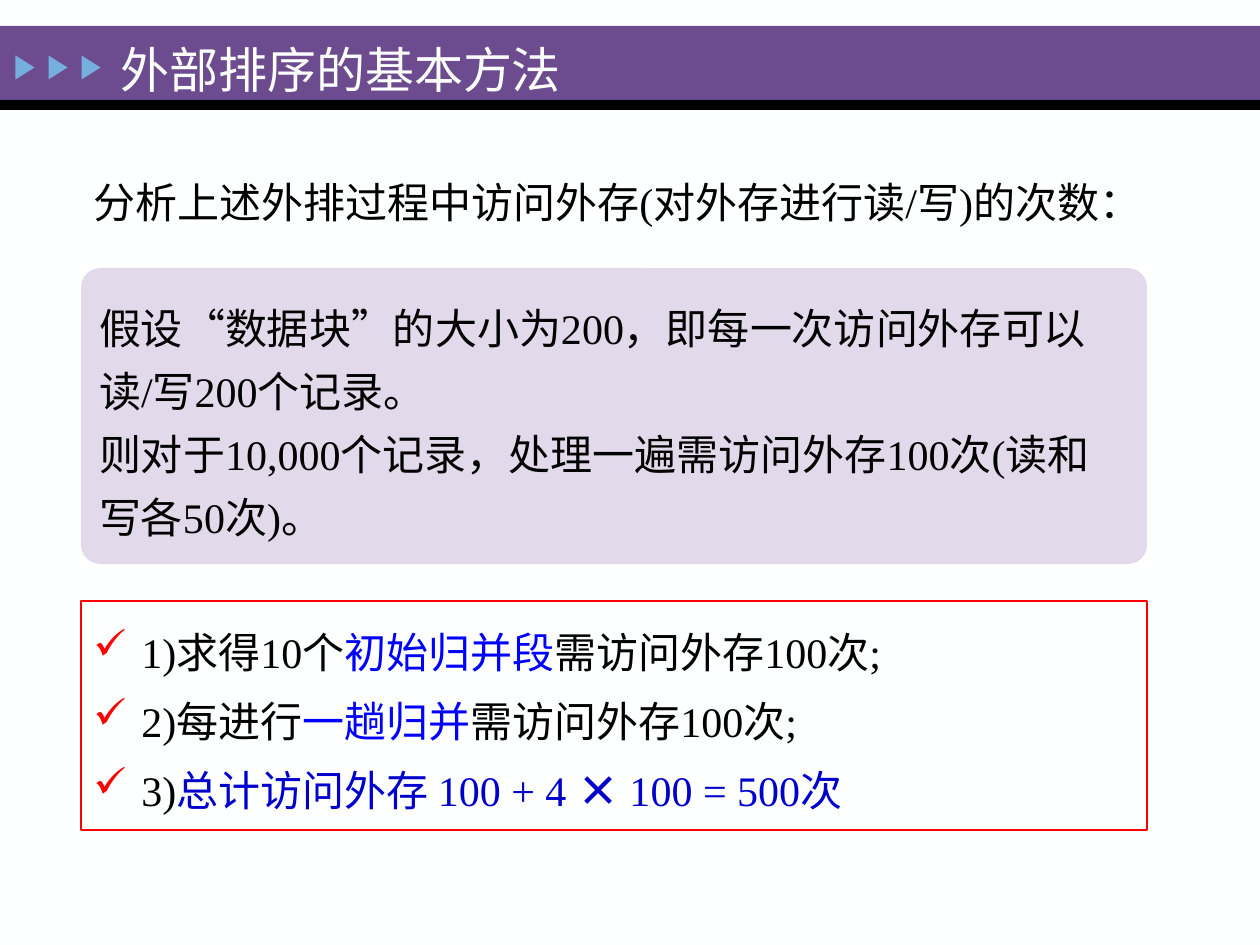
from pptx import Presentation
from pptx.dml.color import RGBColor
from pptx.enum.shapes import MSO_SHAPE as Shape
from pptx.enum.text import MSO_ANCHOR as Anchor, PP_ALIGN as Align
from pptx.oxml.ns import qn
from pptx.util import Emu, Pt
from lxml.etree import SubElement

PX = 914400 / 126
PURPLE = RGBColor(0x6C, 0x4C, 0x8F)
LILAC = RGBColor(0xE2, 0xD9, 0xEB)
SKY = RGBColor(0x76, 0xAE, 0xDD)
PAPER = RGBColor(0xFE, 0xFF, 0xFF)
BLACK = RGBColor(0, 0, 0)
RED = RGBColor(0xFF, 0, 0)
BLUE = RGBColor(0, 0, 0xFF)
NAVY = RGBColor(0, 0, 0xCC)
SERIF, SANS = "Times New Roman", "Noto Sans CJK SC"

# Content: each paragraph is a list of (text, format) runs
PLAIN = {"name": SERIF, "size": Pt(24), "color": BLACK}
TERM = PLAIN | {"color": BLUE}
TOTAL = PLAIN | {"color": NAVY}
TITLE = [[("外部排序的基本方法", PLAIN | {"size": Pt(28), "color": PAPER})]]
INTRO = [[("分析上述外排过程中访问外存(对外存进行读/写)的次数：", PLAIN)]]
ASSUMPTION = [
    [("假设“数据块”的大小为200，即每一次访问外存可以读/写200个记录。", PLAIN)],
    [("则对于10,000个记录，处理一遍需访问外存100次(读和写各50次)。", PLAIN)],
]
STEPS = [
    [("1)求得10个", PLAIN), ("初始归并段", TERM), ("需访问外存100次;", PLAIN)],
    [("2)每进行", PLAIN), ("一趟归并", TERM), ("需访问外存100次;", PLAIN)],
    [("3)", PLAIN), ("总计访问外存 100 + 4 ", TOTAL),
     ("×", TOTAL | {"name": SANS, "bold": True}), (" 100 = 500次", TOTAL)],
]


def px(*lengths):
    return [Emu(round(n * PX)) for n in lengths]


def add_block(slide, kind, box, fill=None, line=None):
    block = slide.shapes.add_shape(kind, *px(*box))
    block.shadow.inherit = False
    if fill is None:
        block.fill.background()
    else:
        block.fill.solid()
        block.fill.fore_color.rgb = fill
    if line is None:
        block.line.fill.background()
    else:
        block.line.color.rgb = line
        block.line.width = Pt(0.75)
    return block


def add_check(paragraph):
    props = paragraph._p.get_or_add_pPr()
    indent = px(48)[0]
    props.set("marL", str(indent))
    props.set("indent", str(-indent))
    colour = SubElement(props, qn("a:buClr"))
    SubElement(colour, qn("a:srgbClr"), val=str(RED))
    SubElement(props, qn("a:buChar"), char="✓")


def write(block, paragraphs, spacing, anchor=Anchor.TOP, checked=False):
    frame = block.text_frame
    frame.word_wrap = True
    frame.vertical_anchor = anchor
    for i, runs in enumerate(paragraphs):
        paragraph = frame.add_paragraph() if i else frame.paragraphs[0]
        paragraph.alignment = Align.LEFT
        paragraph.line_spacing = spacing
        if checked:
            paragraph.space_before = Pt(4.8 if i else 0)
            add_check(paragraph)
        for text, style in runs:
            run = paragraph.add_run()
            run.text = text
            for key, value in style.items():
                if key == "color":
                    run.font.color.rgb = value
                else:
                    setattr(run.font, key, value)


prs = Presentation()
prs.slide_width, prs.slide_height = px(1260, 945)
slide = prs.slides.add_slide(prs.slide_layouts[5])
slide.background.fill.solid()
slide.background.fill.fore_color.rgb = PAPER

# Header band with three arrowheads
add_block(slide, Shape.RECTANGLE, (0, 26, 1260, 75), PURPLE)
add_block(slide, Shape.RECTANGLE, (0, 100, 1260, 10), BLACK)
for i in range(3):
    arrowhead = add_block(slide, Shape.ISOSCELES_TRIANGLE, (13 + 33 * i, 58, 24, 19), SKY)
    arrowhead.rotation = 90

# Title, brought in front of the band
title = slide.shapes.title
title.left, title.top, title.width, title.height = px(108, 19, 669, 73)
write(title, TITLE, 1.25)
slide.shapes._spTree.append(title._element)

# Question, assumption and counted steps
intro = slide.shapes.add_textbox(*px(81, 155, 1095, 78))
write(intro, INTRO, 1.3)
assumption = add_block(slide, Shape.ROUNDED_RECTANGLE, (81, 268, 1066, 296), LILAC)
assumption.adjustments[0] = 0.065
write(assumption, ASSUMPTION, 1.25, Anchor.MIDDLE)
steps = add_block(slide, Shape.RECTANGLE, (81, 601, 1066, 229), line=RED)
write(steps, STEPS, 1.2, Anchor.MIDDLE, checked=True)

prs.save("out.pptx")
